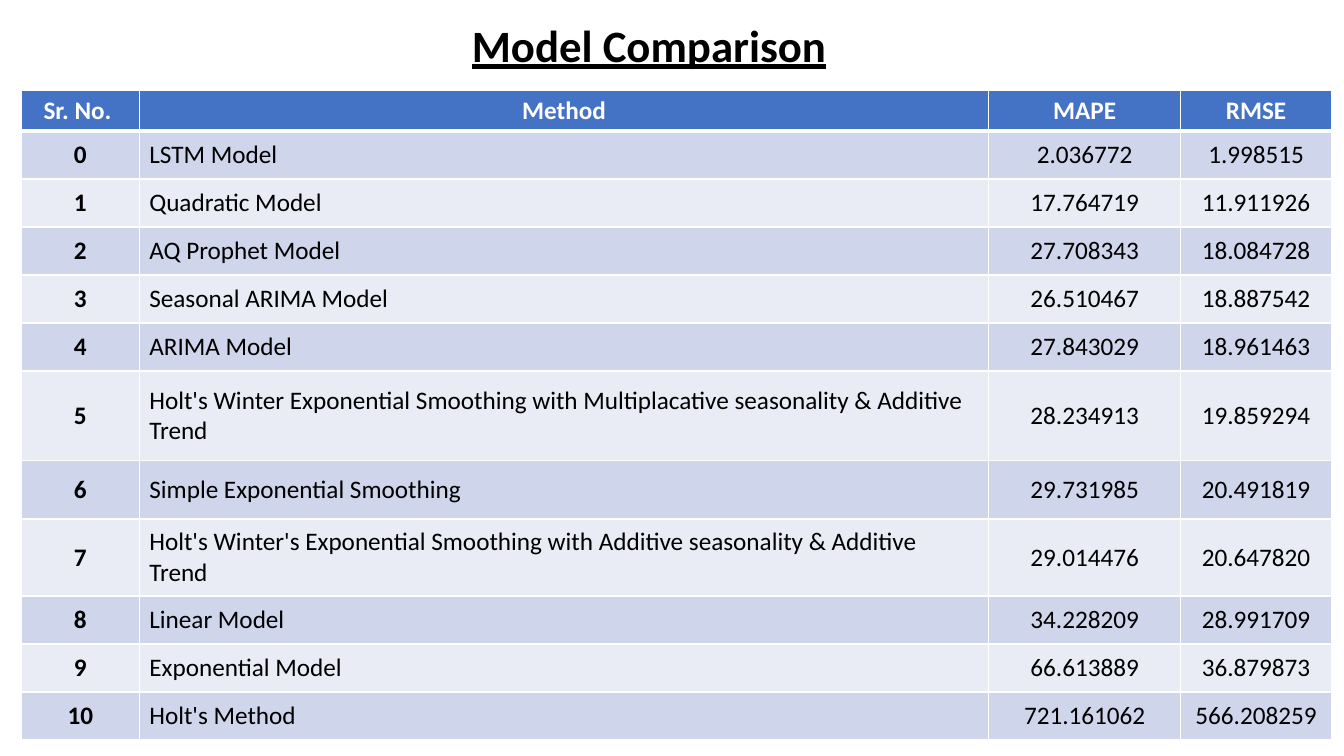
"""Build a slide that compares forecasting models by MAPE and RMSE."""
from dataclasses import dataclass

from lxml import etree
from pptx import Presentation
from pptx import util as u
from pptx.dml.color import RGBColor
from pptx.enum import text
from pptx.oxml import ns


@dataclass(frozen=True)
class Theme:
    font: str = "Calibri"
    title_size: int = 32
    table_size: int = 18
    ink: str = "000000"
    white: str = "FFFFFF"
    header: str = "4472C4"
    bands: tuple = ("E9EBF5", "CFD5EA")


THEME = Theme()
HEADINGS = ("Sr. No. ", "Method", "MAPE", "RMSE")
MODELS = (
    ("LSTM Model", "2.036772", "1.998515"),
    ("Quadratic Model", "17.764719", "11.911926"),
    ("AQ Prophet Model", "27.708343", "18.084728"),
    ("Seasonal ARIMA Model", "26.510467", "18.887542"),
    ("ARIMA Model", "27.843029", "18.961463"),
    ("Holt's Winter Exponential Smoothing with Multiplacative seasonality & Additive Trend",
     "28.234913", "19.859294"),
    ("Simple Exponential Smoothing", "29.731985", "20.491819"),
    ("Holt's Winter's Exponential Smoothing with Additive seasonality & Additive Trend",
     "29.014476", "20.647820"),
    ("Linear Model", "34.228209", "28.991709"),
    ("Exponential Model", "66.613889", "36.879873"),
    ("Holt's Method", "721.161062", "566.208259"),
)
COLUMN_WIDTHS = (2.97, 21.41, 4.83, 3.81)
ROW_HEIGHT = 1.21
SPECIAL_HEIGHTS = {0: 0.99, 6: 2.26, 7: 1.47, 8: 1.94}


def style_font(para, size, color, bold):
    para.font.name = THEME.font
    para.font.size = u.Pt(size)
    para.font.bold = bold
    para.font.color.rgb = RGBColor.from_string(color)


def add_borders(cell, widths):
    properties = cell._tc.get_or_add_tcPr()
    for index, (side, width) in enumerate(widths.items()):
        line = etree.Element(ns.qn(f"a:ln{side}"), w=str(u.Pt(width)))
        fill = etree.SubElement(line, ns.qn("a:solidFill"))
        etree.SubElement(fill, ns.qn("a:srgbClr"), val=THEME.white)
        properties.insert(index, line)


deck = Presentation()
deck.slide_width, deck.slide_height = u.Cm(33.87), u.Cm(19.05)
page = deck.slides.add_slide(deck.slide_layouts[5])

title = page.shapes.title
title.left, title.top, title.width, title.height = u.Cm(1.88), u.Cm(0.46), u.Cm(28.96), u.Cm(2.64)
frame = title.text_frame
frame.text = "Model Comparison"
frame.auto_size = text.MSO_AUTO_SIZE.NONE
frame.vertical_anchor = text.MSO_ANCHOR.TOP
heading = frame.paragraphs[0]
heading.alignment = text.PP_ALIGN.CENTER
heading.line_spacing = 0.9
heading.space_before = u.Pt(10)
style_font(heading, THEME.title_size, THEME.ink, True)
heading.font.underline = True

rows = [HEADINGS] + [(str(number), *model) for number, model in enumerate(MODELS)]
heights = [SPECIAL_HEIGHTS.get(index, ROW_HEIGHT) for index in range(len(rows))]
table = page.shapes.add_table(
    len(rows), len(HEADINGS), u.Cm(0.54), u.Cm(2.27),
    u.Cm(sum(COLUMN_WIDTHS)), u.Cm(sum(heights))).table
for column, width in zip(table.columns, COLUMN_WIDTHS):
    column.width = u.Cm(width)

for row_index, values in enumerate(rows):
    table.rows[row_index].height = u.Cm(heights[row_index])
    is_header = row_index == 0
    for column_index, value in enumerate(values):
        cell = table.cell(row_index, column_index)
        cell.text = value
        cell.vertical_anchor = text.MSO_ANCHOR.MIDDLE
        cell.fill.solid()
        cell.fill.fore_color.rgb = RGBColor.from_string(
            THEME.header if is_header else THEME.bands[row_index % 2])
        add_borders(cell, {"L": 1, "R": 1, "T": 3 if row_index == 1 else 1, "B": 3 if is_header else 1})
        para = cell.text_frame.paragraphs[0]
        is_method = column_index == 1 and not is_header
        para.alignment = text.PP_ALIGN.LEFT if is_method else text.PP_ALIGN.CENTER
        style_font(para, THEME.table_size, THEME.white if is_header else THEME.ink,
                   is_header or column_index == 0)
table.cell(0, 0).vertical_anchor = text.MSO_ANCHOR.TOP

deck.save("out.pptx")
